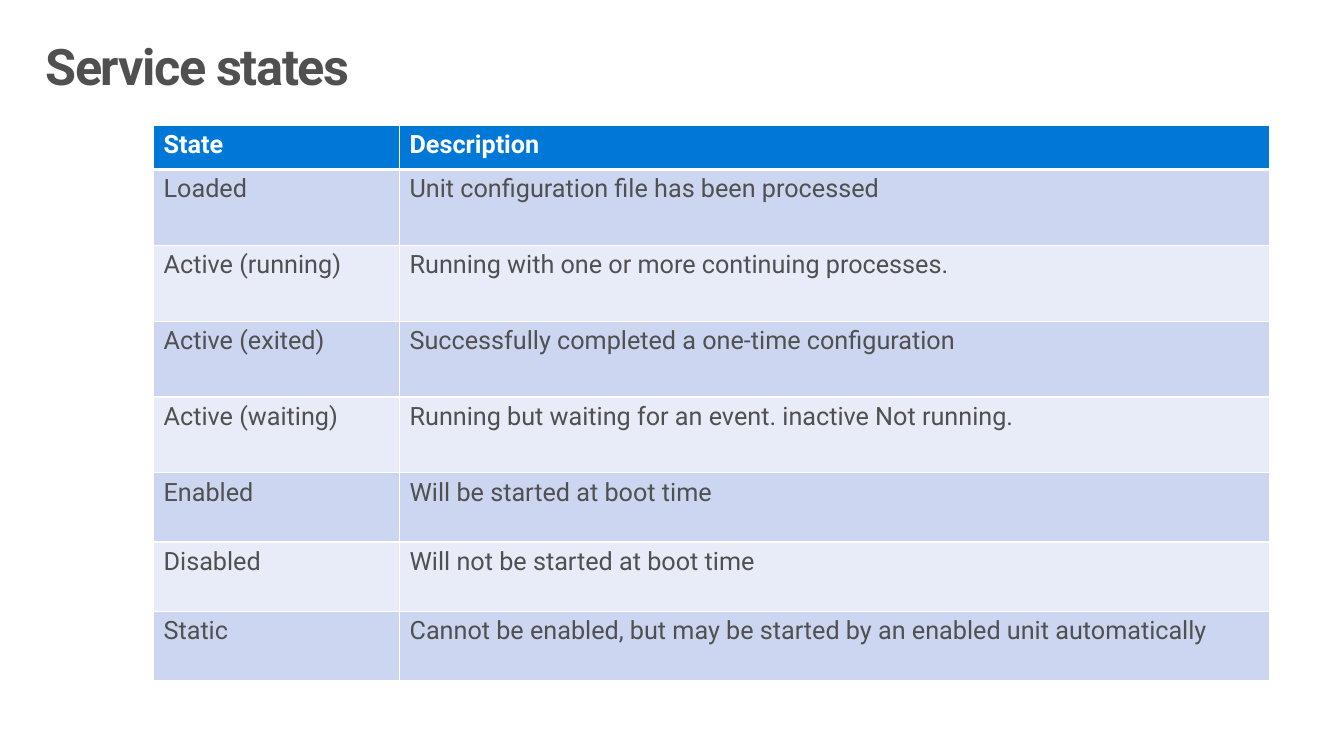
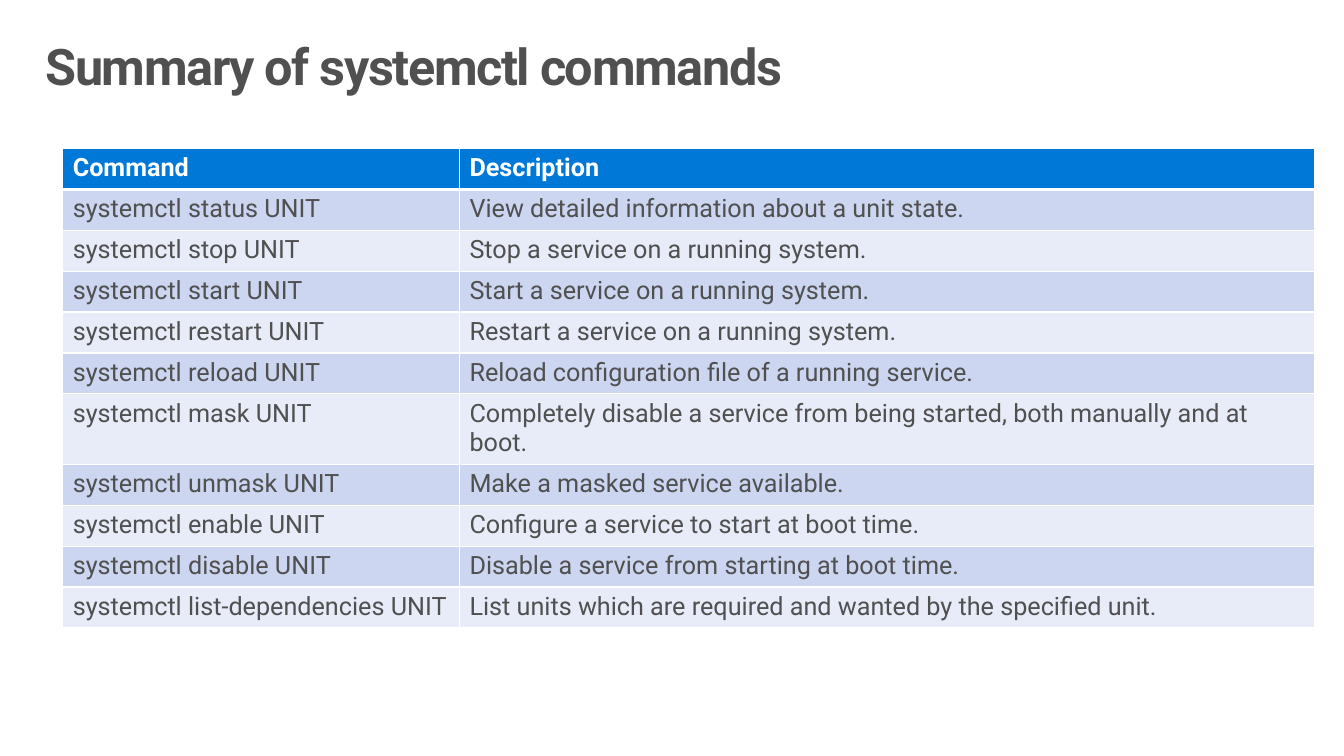
import pptx
import pptx.util
import pptx.dml.color
import pptx.oxml.ns
from dataclasses import dataclass
from lxml import etree

Pt = pptx.util.Pt
qn = pptx.oxml.ns.qn


@dataclass(frozen=True)
class Theme:
    face: str = "Roboto"
    ink: str = "505050"
    white: str = "FFFFFF"
    head: str = "0078D7"
    bands: tuple = ("CCD6F0", "E7ECF8")
    title: int = 36
    body: int = 18
    thin: int = 1
    thick: int = 3


THEME = Theme()

STATES = [
    ("State", "Description"),
    ("Loaded", "Unit configuration file has been processed"),
    ("Active (running)", "Running with one or more continuing processes."),
    ("Active (exited)", "Successfully completed a one-time configuration"),
    ("Active (waiting)", "Running but waiting for an event. inactive Not running."),
    ("Enabled", "Will be started at boot time"),
    ("Disabled", "Will not be started at boot time"),
    ("Static", "Cannot be enabled, but may be started by an enabled unit automatically"),
]

ACTIONS = [
    ("status", "View detailed information about a unit state."),
    ("stop", "Stop a service on a running system."),
    ("start", "Start a service on a running system."),
    ("restart", "Restart a service on a running system."),
    ("reload", "Reload configuration file of a running service."),
    ("mask", "Completely disable a service from being started, both manually and at boot."),
    ("unmask", "Make a masked service available."),
    ("enable", "Configure a service to start at boot time."),
    ("disable", "Disable a service from starting at boot time."),
    ("list-dependencies", "List units which are required and wanted by the specified unit."),
]
COMMANDS = [("Command", "Description")]
COMMANDS += [(f"systemctl {verb} UNIT", text) for verb, text in ACTIONS]


def color(code):
    return pptx.dml.color.RGBColor.from_string(code)


def style(para, size, ink, bold):
    font = para.font
    font.name, font.size, font.bold = THEME.face, Pt(size), bold
    font.color.rgb = color(ink)


# Title: bold, slightly tightened, at the top of its box
def add_title(slide, text, box):
    shape = slide.shapes.add_textbox(*map(Pt, box))
    frame = shape.text_frame
    frame.word_wrap = True
    frame.margin_left = frame.margin_right = Pt(11.5)
    frame.margin_top = frame.margin_bottom = Pt(7.2)
    para = frame.paragraphs[0]
    para.text = text
    para.line_spacing = 0.9
    style(para, THEME.title, THEME.ink, True)
    para.runs[0].font._element.set("spc", "-100")


# Cell borders, which must come before the cell fill
def add_edges(cell, widths):
    props = cell._tc.get_or_add_tcPr()
    for side, width in zip("LRTB", widths):
        line = etree.SubElement(props, qn(f"a:ln{side}"), w=str(Pt(width)))
        fill = etree.SubElement(line, qn("a:solidFill"))
        etree.SubElement(fill, qn("a:srgbClr"), val=THEME.white)


# Table: blue head row, then two alternating bands
def add_grid(slide, rows, box, first, heights):
    left, top, width = box
    frame = slide.shapes.add_table(
        len(rows), 2, Pt(left), Pt(top), Pt(width), Pt(sum(heights)))
    table = frame.table
    table.columns[0].width = Pt(first)
    table.columns[1].width = Pt(width - first)
    for i, (row, height) in enumerate(zip(rows, heights)):
        table.rows[i].height = Pt(height)
        head = i == 0
        fill = THEME.head if head else THEME.bands[(i - 1) % 2]
        over = THEME.thick if i == 1 else THEME.thin
        under = THEME.thick if head else THEME.thin
        for j, text in enumerate(row):
            cell = table.cell(i, j)
            add_edges(cell, (THEME.thin, THEME.thin, over, under))
            cell.fill.solid()
            cell.fill.fore_color.rgb = color(fill)
            cell.text = text
            ink = THEME.white if head else THEME.ink
            style(cell.text_frame.paragraphs[0], THEME.body, ink, head)


# Slide: a title over one table
def add_page(deck, title, rows, box, first, heights):
    slide = deck.slides.add_slide(deck.slide_layouts[6])
    add_title(slide, title, (21, 23, 918, 70.5))
    add_grid(slide, rows, box, first, heights)


def main():
    deck = pptx.Presentation()
    deck.slide_width, deck.slide_height = Pt(960), Pt(540)
    add_page(deck, "Service states", STATES, (109.7, 89.3, 797), 175.7,
             [31.7] + [54.2] * 4 + [49.4] * 3)
    # The sixth command wraps to a second line
    add_page(deck, "Summary of systemctl commands", COMMANDS, (44.8, 106.1, 894.3), 283.4,
             [29.2] * 6 + [49.4] + [29.2] * 4)
    deck.save("out.pptx")


if __name__ == "__main__":
    main()
